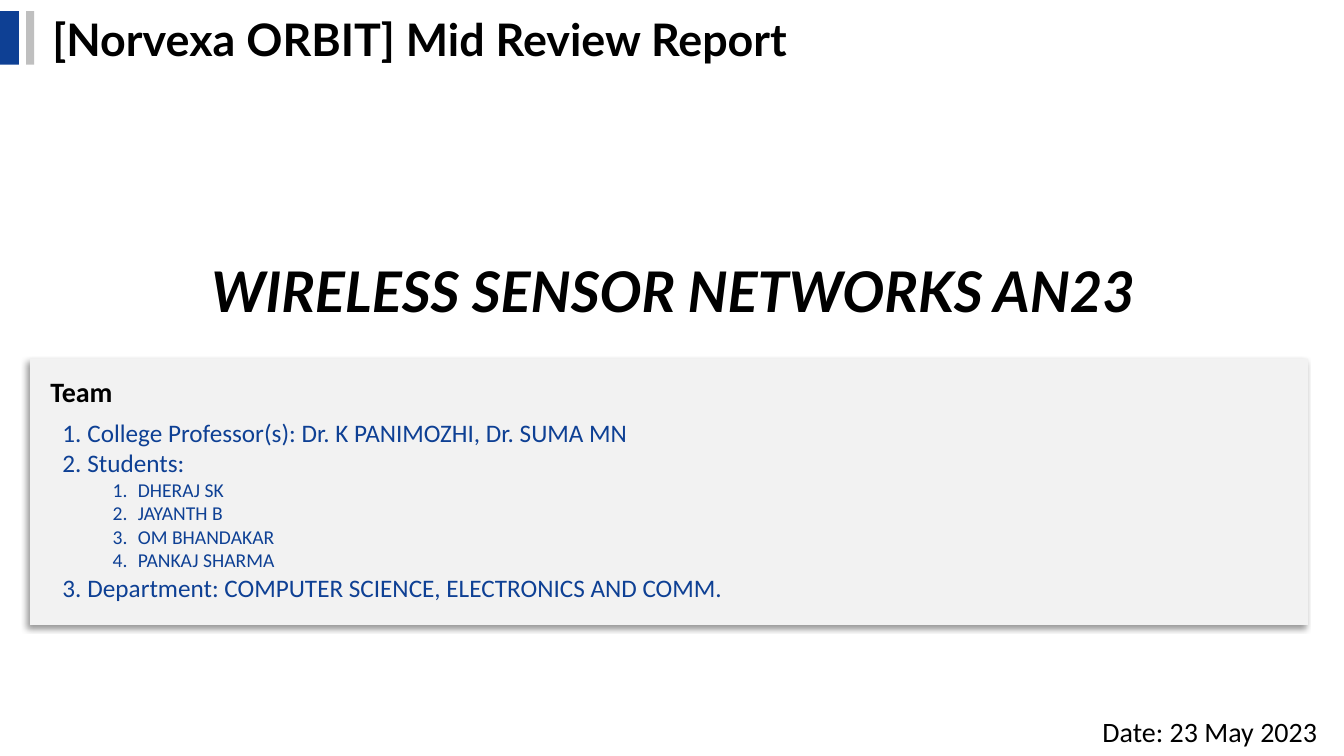
from lxml.etree import SubElement
from pptx import Presentation
from pptx.dml.color import RGBColor
from pptx.enum.shapes import MSO_SHAPE
from pptx.enum.text import MSO_ANCHOR, MSO_AUTO_SIZE, PP_ALIGN
from pptx.oxml.ns import qn
from pptx.util import Cm, Pt

COLORS = {"blue": "0E4094", "gray": "BFBFBF", "panel": "F2F2F2", "black": "000000"}
TEAM = [
    (0, "College Professor(s): Dr. K PANIMOZHI, Dr. SUMA MN"),
    (0, "Students:"),
    (1, "DHERAJ SK"),
    (1, "JAYANTH B"),
    (1, "OM BHANDAKAR"),
    (1, "PANKAJ SHARMA"),
    (0, "Department: COMPUTER SCIENCE, ELECTRONICS AND COMM."),
]


def add_block(page, box, color):
    """Draw a plain filled rectangle in a box given in centimetres."""
    block = page.shapes.add_shape(MSO_SHAPE.RECTANGLE, *map(Cm, box))
    block.shadow.inherit = False
    block.fill.solid()
    block.fill.fore_color.rgb = RGBColor.from_string(COLORS[color])
    block.line.fill.background()
    return block


def add_frame(page, box, anchor=MSO_ANCHOR.MIDDLE, wrap=True):
    """Add an empty text box and return its text frame."""
    frame = page.shapes.add_textbox(*map(Cm, box)).text_frame
    frame.word_wrap = wrap
    frame.auto_size = MSO_AUTO_SIZE.SHAPE_TO_FIT_TEXT
    frame.vertical_anchor = anchor
    return frame


def add_span(para, text, size, font="Calibri", color="black", bold=False, italic=False):
    """Append one formatted run to a paragraph."""
    span = para.add_run()
    span.text = text
    span.font.name = font
    span.font.size = Pt(size)
    span.font.bold = bold
    span.font.italic = italic
    span.font.color.rgb = RGBColor.from_string(COLORS[color])


def add_shadow(shape):
    """Cast a soft shadow towards the lower left."""
    effects = shape._element.spPr.find(qn("a:effectLst"))
    shadow = SubElement(effects, qn("a:outerShdw"), blurRad=str(Pt(4)), dist=str(Pt(3)),
                        dir=str(135 * 60000), algn="tr", rotWithShape="0")
    tint = SubElement(shadow, qn("a:srgbClr"), val=COLORS["black"])
    SubElement(tint, qn("a:alpha"), val="40000")


def number_para(para, level):
    """Give a paragraph automatic numbering and a hanging indent."""
    para.level = level
    properties = para._p.get_or_add_pPr()
    properties.set("marL", str(Cm(0.635 + 1.27 * level)))
    properties.set("indent", str(-Cm(0.635)))
    SubElement(properties, qn("a:buFont"), typeface="+mj-lt")
    SubElement(properties, qn("a:buAutoNum"), type="arabicPeriod")


def add_header(page, box):
    """Place the two marker bars and the report heading."""
    left, top, width, height = box
    add_block(page, (left, top, 0.48, height), "blue")
    add_block(page, (left + 0.66, top, 0.2, height), "gray")
    frame = add_frame(page, (left + 1.07, top - 0.13, width - 1.07, height + 0.28))
    add_span(frame.paragraphs[0], "[Norvexa ORBIT] Mid Review Report", 32, "Lato", bold=True)


def add_project_title(page, box):
    """Place the centred project title."""
    para = add_frame(page, box).paragraphs[0]
    para.alignment = PP_ALIGN.CENTER
    add_span(para, "WIRELESS SENSOR NETWORKS AN23", 40, "Lato", bold=True, italic=True)


def add_team_panel(page, box):
    """Place the shaded panel with the numbered team list."""
    left, top, width, height = box
    add_shadow(add_block(page, box, "panel"))
    label = add_frame(page, (left + 0.26, top + 0.26, 2.13, 1.12), MSO_ANCHOR.TOP, False)
    add_span(label.paragraphs[0], "Team", 20, bold=True)
    frame = add_frame(page, (left + 0.56, top + 1.35, width - 1.96, height - 1.76), MSO_ANCHOR.TOP)
    for index, (level, text) in enumerate(TEAM):
        para = frame.add_paragraph() if index else frame.paragraphs[0]
        number_para(para, level)
        add_span(para, text, 14 if level else 18, color="blue")


def add_date(page, box):
    """Place the report date."""
    add_span(add_frame(page, box).paragraphs[0], "Date: 23 May 2023", 20)


def main():
    """Build and save the title slide."""
    deck = Presentation()
    deck.slide_width, deck.slide_height = Cm(33.87), Cm(19.05)
    page = deck.slides.add_slide(deck.slide_layouts[6])
    add_header(page, (0, 0.28, 27.18, 1.35))
    add_project_title(page, (3.91, 6.32, 26.11, 1.96))
    add_team_panel(page, (0.76, 9.04, 32.21, 6.71))
    add_date(page, (27.53, 17.88, 6.32, 1.12))
    deck.save("out.pptx")


if __name__ == "__main__":
    main()
